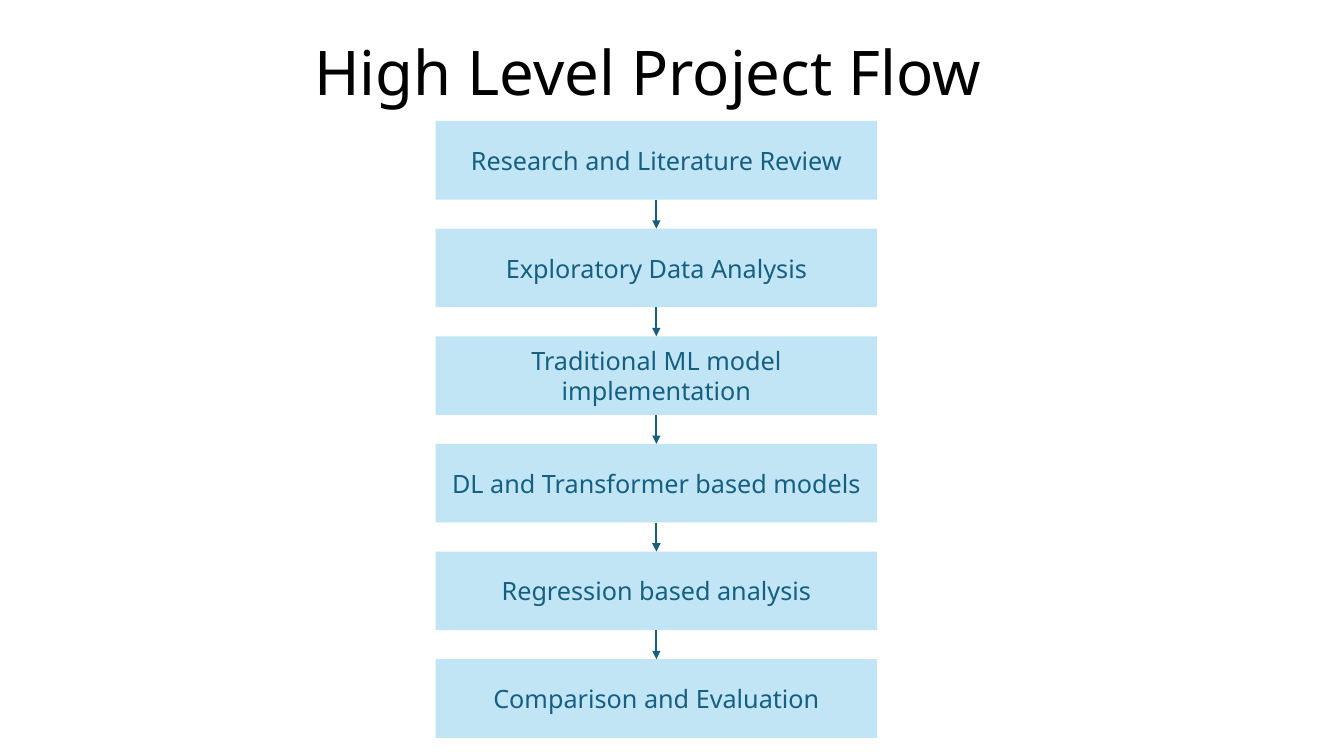
from lxml import etree
from pptx import Presentation
from pptx.dml.color import RGBColor
from pptx.enum.shapes import MSO_CONNECTOR, MSO_SHAPE
from pptx.enum.text import MSO_ANCHOR, PP_ALIGN
from pptx.oxml.ns import qn
from pptx.util import Inches, Pt

RECTANGLE = MSO_SHAPE.RECTANGLE
STRAIGHT = MSO_CONNECTOR.STRAIGHT
MIDDLE = MSO_ANCHOR.MIDDLE
CENTER = PP_ALIGN.CENTER

THEME = {
    "font": "Noto Sans",
    "title_color": RGBColor.from_string("000000"),
    "step_color": RGBColor.from_string("156082"),
    "step_fill": RGBColor.from_string("C1E5F5"),
    "title_size": Pt(44),
    "step_size": Pt(18),
    "arrow_width": Pt(1.5),
}

STEPS = [
    "Research and Literature Review",
    "Exploratory Data Analysis",
    "Traditional ML model implementation",
    "DL and Transformer based models",
    "Regression based analysis",
    "Comparison and Evaluation",
]
STEP_LEFT, STEP_WIDTH, STEP_HEIGHT = 4.32, 4.38, 0.78
FIRST_TOP, LAST_TOP = 1.2, 6.54
PITCH = (LAST_TOP - FIRST_TOP) / (len(STEPS) - 1)


def write_text(shape, text, size, color):
    frame = shape.text_frame
    frame.word_wrap = True
    frame.vertical_anchor = MIDDLE
    paragraph = frame.paragraphs[0]
    paragraph.text = text
    paragraph.alignment = CENTER
    text_format = {"name": THEME["font"], "size": size}
    for attribute, value in text_format.items():
        setattr(paragraph.font, attribute, value)
    paragraph.font.color.rgb = color
    return paragraph


presentation = Presentation()
presentation.slide_width = Inches(13.33)
presentation.slide_height = Inches(7.5)
slide = presentation.slides.add_slide(presentation.slide_layouts[6])

# Title
title = slide.shapes.add_textbox(Inches(1.67), Inches(0.19), Inches(9.51), Inches(1.12))
title_paragraph = write_text(
    title, "High Level Project Flow", THEME["title_size"], THEME["title_color"]
)
title_paragraph.line_spacing = 0.9

# Step boxes
boxes = []
for index, step in enumerate(STEPS):
    box = slide.shapes.add_shape(
        RECTANGLE,
        Inches(STEP_LEFT),
        Inches(FIRST_TOP + index * PITCH),
        Inches(STEP_WIDTH),
        Inches(STEP_HEIGHT),
    )
    box.shadow.inherit = False
    box.fill.solid()
    box.fill.fore_color.rgb = THEME["step_fill"]
    box.line.fill.background()
    write_text(box, step, THEME["step_size"], THEME["step_color"])
    boxes.append(box)

# Arrows from the bottom of each box to the top of the next
for upper, lower in zip(boxes, boxes[1:]):
    arrow = slide.shapes.add_connector(STRAIGHT, 0, 0, 0, 0)
    arrow.begin_connect(upper, 2)
    arrow.end_connect(lower, 0)
    arrow.line.color.rgb = THEME["step_color"]
    arrow.line.width = THEME["arrow_width"]
    properties = arrow.element.spPr
    etree.SubElement(properties.find(qn("a:ln")), qn("a:tailEnd"), type="triangle")
    etree.SubElement(properties, qn("a:effectLst"))

presentation.save("out.pptx")
